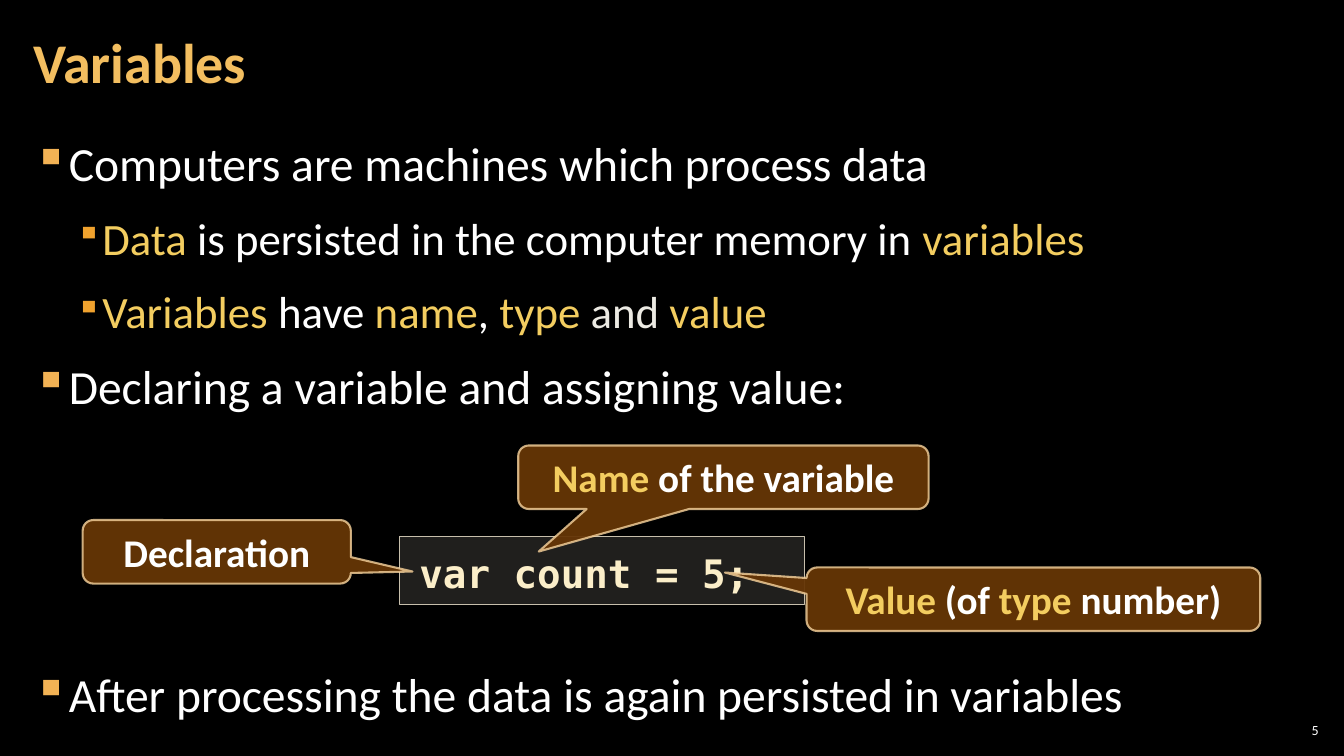
from lxml import etree
from pptx import Presentation
from pptx.dml.color import RGBColor
from pptx.enum.shapes import MSO_SHAPE as Shape
from pptx.enum.text import MSO_ANCHOR as Anchor, MSO_AUTO_SIZE as AutoSize, PP_ALIGN as Align
from pptx.oxml.ns import qn
from pptx.util import Inches, Pt

BLACK = RGBColor(0x00, 0x00, 0x00)
WHITE = RGBColor(0xFF, 0xFF, 0xFF)
CREAM = RGBColor(0xEC, 0xEA, 0xE3)
GOLD = RGBColor(0xF3, 0xCD, 0x60)
TITLE_GOLD = RGBColor(0xF3, 0xBE, 0x60)
BULLET_GOLD = RGBColor(0xF2, 0xB2, 0x54)
SUB_BULLET_GOLD = RGBColor(0xF0, 0xA2, 0x2E)
CODE_TEXT = RGBColor(0xFB, 0xEE, 0xC9)
CODE_FILL = RGBColor(0xD9, 0xD5, 0xC7)
CODE_LINE = RGBColor(0xC7, 0xBF, 0xAC)
CALLOUT_FILL = RGBColor(0x66, 0x36, 0x06)
CALLOUT_LINE = RGBColor(0xF8, 0xD4, 0x9E)
TEXT_FONT = "Calibri"
CODE_FONT = "DejaVu Sans Mono"

BODY = [
    (0, [("Computers are machines which process data", WHITE)]),
    (1, [("Data", GOLD), (" is persisted in the computer memory in ", WHITE),
         ("variables", GOLD)]),
    (1, [("Variables ", GOLD), ("have ", WHITE), ("name", GOLD), (", ", WHITE),
         ("type ", GOLD), ("and ", CREAM), ("value", GOLD)]),
    (0, [("Declaring a variable and assigning value:", WHITE)]),
    (0, [("After processing the data is again persisted in variables", WHITE)]),
]
CALLOUTS = [
    ((0.82, 5.16, 2.66, 0.63), (0.73, 0.31), [("Declaration", WHITE)]),
    ((5.14, 4.42, 4.07, 0.63), (-0.45, 1.17),
     [("Name ", GOLD), ("of the variable", WHITE)]),
    ((8, 5.63, 4.5, 0.63), (-0.68, -0.42),
     [("Value", GOLD), (" (of ", WHITE), ("type ", GOLD), ("number)", WHITE)]),
]


def write_spans(para, spans, size, font=TEXT_FONT, bold=False):
    for text, color in spans:
        span = para.add_run()
        span.text = text
        span.font.name = font
        span.font.size = Pt(size)
        span.font.bold = bold
        span.font.color.rgb = color


def set_frame(frame, side, edge, anchor):
    frame.word_wrap = True
    frame.auto_size = AutoSize.NONE
    frame.vertical_anchor = anchor
    frame.margin_left = frame.margin_right = Inches(side)
    frame.margin_top = frame.margin_bottom = Inches(edge)


def set_opacity(color_format, percent):
    color = color_format._xFill.find(qn("a:srgbClr"))
    etree.SubElement(color, qn("a:alpha"), val=str(percent * 1000))


def paint(shape, fill, fill_opacity, line, width):
    shape.shadow.inherit = False
    shape.fill.solid()
    shape.fill.fore_color.rgb = fill
    set_opacity(shape.fill.fore_color, fill_opacity)
    shape.line.color.rgb = line
    shape.line.width = Pt(width)


def set_bullet(para, indent, hanging, color, percent):
    props = para._p.get_or_add_pPr()
    props.set("marL", str(Inches(indent)))
    props.set("indent", str(-Inches(hanging)))
    bullet_color = etree.SubElement(props, qn("a:buClr"))
    etree.SubElement(bullet_color, qn("a:srgbClr"), val=str(color))
    etree.SubElement(props, qn("a:buSzPct"), val=str(percent * 1000))
    etree.SubElement(props, qn("a:buChar"), char="▪")


def add_title(page, box):
    title = page.shapes.title
    title.left, title.top, title.width, title.height = map(Inches, box)
    set_frame(title.text_frame, 0.12, 0.04, Anchor.MIDDLE)
    para = title.text_frame.paragraphs[0]
    para.alignment = Align.LEFT
    para.line_spacing = 0.9
    write_spans(para, [("Variables", TITLE_GOLD)], 40, bold=True)


def add_body(page, box):
    frame = page.shapes.add_textbox(*map(Inches, box)).text_frame
    set_frame(frame, 0.12, 0.04, Anchor.TOP)
    for index, (level, spans) in enumerate(BODY):
        para = frame.add_paragraph() if index else frame.paragraphs[0]
        para.level = level
        para.line_spacing = 1.05
        para.space_before = para.space_after = Pt(6)
        if level:
            set_bullet(para, 0.67, 0.25, SUB_BULLET_GOLD, 80)
        else:
            set_bullet(para, 0.33, 0.33, BULLET_GOLD, 100)
        write_spans(para, spans, 32 if level else 34)
    para.space_before = Pt(171)


def add_code(page, box):
    code = page.shapes.add_shape(Shape.RECTANGLE, *map(Inches, box))
    paint(code, CODE_FILL, 15, CODE_LINE, 1)
    set_frame(code.text_frame, 0.2, 0.08, Anchor.TOP)
    para = code.text_frame.paragraphs[0]
    para.alignment = Align.LEFT
    para.line_spacing = 1.1
    write_spans(para, [("var count = 5;", CODE_TEXT)], 28, CODE_FONT, True)


def add_callout(page, box, tip, spans):
    callout = page.shapes.add_shape(Shape.ROUNDED_RECTANGULAR_CALLOUT, *map(Inches, box))
    callout.adjustments[0], callout.adjustments[1] = tip
    paint(callout, CALLOUT_FILL, 95, CALLOUT_LINE, 1.5)
    set_opacity(callout.line.color, 80)
    set_frame(callout.text_frame, 0.1, 0.05, Anchor.MIDDLE)
    para = callout.text_frame.paragraphs[0]
    para.alignment = Align.CENTER
    write_spans(para, spans, 28, bold=True)


def add_page_number(page, box):
    frame = page.shapes.add_textbox(*map(Inches, box)).text_frame
    set_frame(frame, 0.04, 0.04, Anchor.MIDDLE)
    para = frame.paragraphs[0]
    para.alignment = Align.RIGHT
    write_spans(para, [("5", WHITE)], 10)


def main():
    deck = Presentation()
    deck.slide_width, deck.slide_height = Inches(13.33), Inches(7.5)
    page = deck.slides.add_slide(deck.slide_layouts[5])
    page.background.fill.solid()
    page.background.fill.fore_color.rgb = BLACK
    add_page_number(page, (12.65, 7.14, 0.47, 0.21))
    add_body(page, (0.21, 1.26, 12.91, 6.09))
    add_title(page, (0.21, 0.04, 10.47, 1.21))
    add_code(page, (3.96, 5.32, 4.02, 0.68))
    for box, tip, spans in CALLOUTS:
        add_callout(page, box, tip, spans)
    deck.save("out.pptx")


if __name__ == "__main__":
    main()
